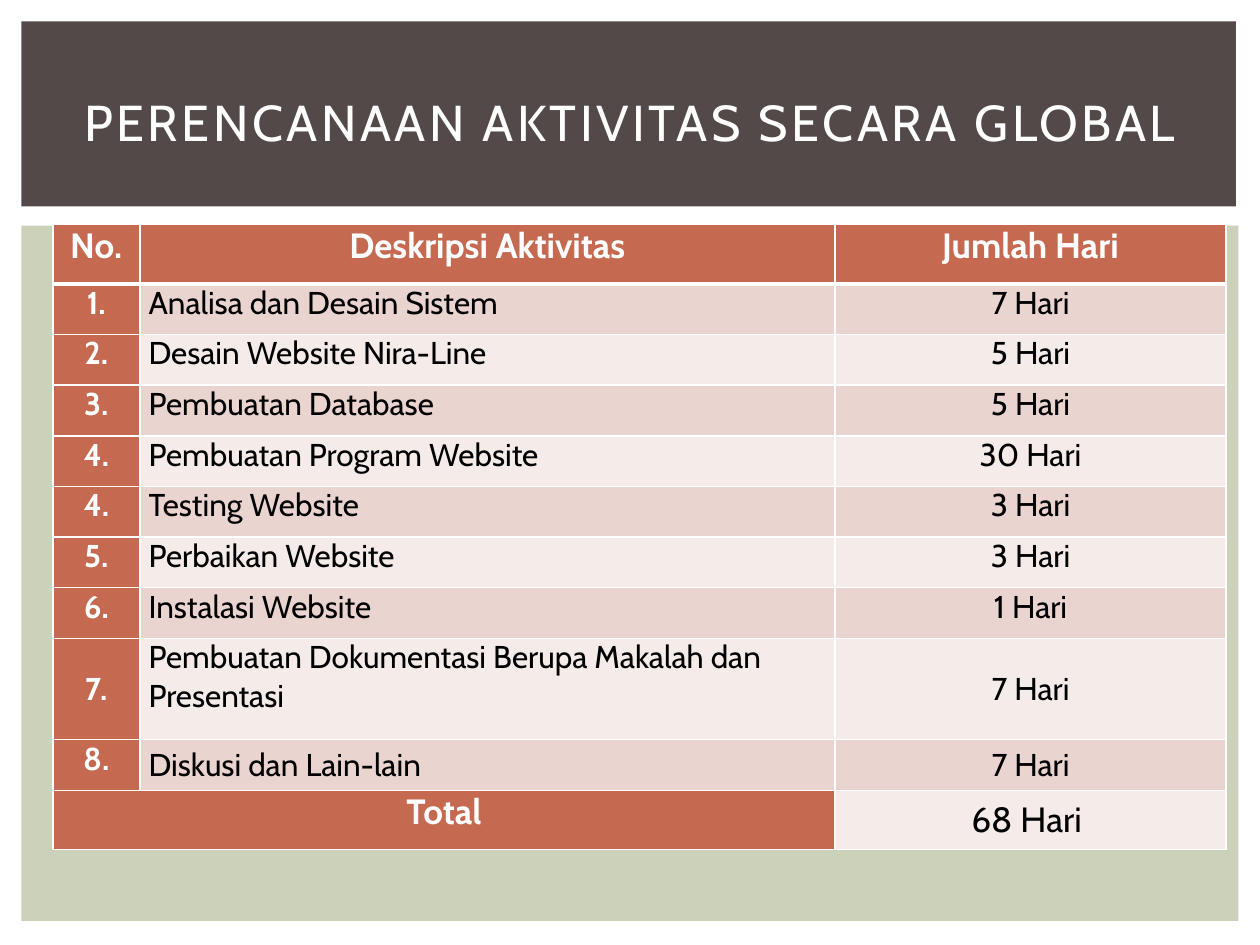
from dataclasses import dataclass

from lxml import etree
from pptx import Presentation
from pptx.dml.color import RGBColor
from pptx.enum.shapes import MSO_SHAPE
from pptx.enum.text import MSO_ANCHOR, PP_ALIGN
from pptx.oxml.ns import qn
from pptx.util import Pt

RECTANGLE = MSO_SHAPE.RECTANGLE
TOP, MIDDLE = MSO_ANCHOR.TOP, MSO_ANCHOR.MIDDLE
LEFT, CENTER = PP_ALIGN.LEFT, PP_ALIGN.CENTER

FONT = "Cabin"
WHITE, BLACK = "FFFFFF", "000000"
SAGE, BROWN, TERRACOTTA = "CCD1B9", "534949", "C66951"
BANDS = ("F5EBE9", "EAD4D0")
COLUMN_WIDTHS = (49.7, 397.4, 223.2)
ROW_HEIGHT, EDGE_ROW_HEIGHT = 28.95, 33.8
HEADINGS = ("No.", "Deskripsi Aktivitas", "Jumlah Hari")


@dataclass(frozen=True)
class Panel:
    left: float
    top: float
    width: float
    height: float
    fill: str


@dataclass(frozen=True)
class Activity:
    number: str
    description: str
    days: int
    lines: int = 1
    anchors: tuple = (TOP, TOP, TOP)


@dataclass(frozen=True)
class CellStyle:
    fill: str
    color: str = BLACK
    size: float = 18
    bold: bool = False
    align: PP_ALIGN = CENTER
    anchor: MSO_ANCHOR = TOP
    top_border: float = 1
    bottom_border: float = 1


PANELS = (
    Panel(12.2, 128.9, 695.5, 397.4, SAGE),
    Panel(12.2, 12.2, 694, 105.8, BROWN),
)
ACTIVITIES = (
    Activity("1.", "Analisa dan Desain Sistem", 7),
    Activity("2.", "Desain Website Nira-Line", 5),
    Activity("3.", "Pembuatan Database", 5),
    Activity("4.", "Pembuatan Program Website", 30),
    Activity("4.", "Testing Website", 3),
    Activity("5.", "Perbaikan Website", 3),
    Activity("6.", "Instalasi Website", 1),
    Activity("7.", "Pembuatan Dokumentasi Berupa Makalah dan Presentasi", 7,
             lines=2, anchors=(MIDDLE, TOP, MIDDLE)),
    Activity("8.", "Diskusi dan Lain-lain", 7, anchors=(TOP, MIDDLE, MIDDLE)),
)


def rgb(color: str) -> RGBColor:
    return RGBColor.from_string(color)


def format_font(font, size: float, color: str, bold: bool = False) -> None:
    font.name = FONT
    font.size = Pt(size)
    font.bold = bold
    font.color.rgb = rgb(color)


def add_panel(slide, panel: Panel) -> None:
    shape = slide.shapes.add_shape(RECTANGLE, Pt(panel.left), Pt(panel.top),
                                   Pt(panel.width), Pt(panel.height))
    shape.shadow.inherit = False
    shape.fill.solid()
    shape.fill.fore_color.rgb = rgb(panel.fill)
    shape.line.fill.background()


def add_title(slide, wording: str) -> None:
    title = slide.shapes.title
    title.left, title.top = Pt(30.2), Pt(28.1)
    title.width, title.height = Pt(660.2), Pt(82.8)
    title.text_frame.text = wording
    title.text_frame.word_wrap = True
    title.text_frame.vertical_anchor = MIDDLE
    paragraph = title.text_frame.paragraphs[0]
    paragraph.alignment = CENTER
    run = paragraph.runs[0]
    format_font(run.font, 28.8, WHITE)
    run.font._element.set("spc", "200")
    slide.shapes.element.append(title.element)  # bring in front of the panels


def set_borders(cell, style: CellStyle) -> None:
    properties = cell._tc.get_or_add_tcPr()
    widths = {"a:lnL": 1, "a:lnR": 1,
              "a:lnT": style.top_border, "a:lnB": style.bottom_border}
    for tag, width in widths.items():
        border = etree.SubElement(properties, qn(tag), w=str(Pt(width)))
        fill = etree.SubElement(border, qn("a:solidFill"))
        etree.SubElement(fill, qn("a:srgbClr"), val=WHITE)


def fill_cell(cell, wording: str, style: CellStyle) -> None:
    set_borders(cell, style)
    cell.fill.solid()
    cell.fill.fore_color.rgb = rgb(style.fill)
    cell.margin_left = cell.margin_right = Pt(5)
    cell.margin_top = cell.margin_bottom = 0
    cell.vertical_anchor = style.anchor
    cell.text_frame.text = wording
    paragraph = cell.text_frame.paragraphs[0]
    paragraph.alignment = style.align
    for run in paragraph.runs:
        format_font(run.font, style.size, style.color, style.bold)


def add_schedule(slide) -> None:
    heights = [EDGE_ROW_HEIGHT,
               *(ROW_HEIGHT * activity.lines for activity in ACTIVITIES),
               EDGE_ROW_HEIGHT]
    schedule = slide.shapes.add_table(
        len(heights), len(COLUMN_WIDTHS), Pt(30.2), Pt(128.4),
        Pt(sum(COLUMN_WIDTHS)), Pt(sum(heights))).table
    for column, width in zip(schedule.columns, COLUMN_WIDTHS):
        column.width = Pt(width)
    for row, height in zip(schedule.rows, heights):
        row.height = Pt(height)

    heading_style = CellStyle(TERRACOTTA, WHITE, 20, True, bottom_border=3)
    for column, heading in enumerate(HEADINGS):
        fill_cell(schedule.cell(0, column), heading, heading_style)

    for row, activity in enumerate(ACTIVITIES, start=1):
        band = BANDS[row % 2]
        border = 3 if row == 1 else 1
        number_anchor, description_anchor, days_anchor = activity.anchors
        fill_cell(schedule.cell(row, 0), activity.number,
                  CellStyle(TERRACOTTA, WHITE, bold=True,
                            anchor=number_anchor, top_border=border))
        fill_cell(schedule.cell(row, 1), activity.description,
                  CellStyle(band, align=LEFT, anchor=description_anchor,
                            top_border=border))
        fill_cell(schedule.cell(row, 2), f"{activity.days} Hari",
                  CellStyle(band, anchor=days_anchor, top_border=border))

    total_row = len(heights) - 1
    total_style = CellStyle(TERRACOTTA, WHITE, 20, True)
    schedule.cell(total_row, 0).merge(schedule.cell(total_row, 1))
    fill_cell(schedule.cell(total_row, 0), "Total", total_style)
    fill_cell(schedule.cell(total_row, 1), "", total_style)
    total_days = sum(activity.days for activity in ACTIVITIES)
    fill_cell(schedule.cell(total_row, 2), f"{total_days} Hari ",
              CellStyle(BANDS[total_row % 2], size=20, anchor=MIDDLE))


def main() -> None:
    presentation = Presentation()
    presentation.slide_width, presentation.slide_height = Pt(720), Pt(540)
    slide = presentation.slides.add_slide(presentation.slide_layouts[5])
    for panel in PANELS:
        add_panel(slide, panel)
    add_schedule(slide)
    add_title(slide, "PERENCANAAN AKTIVITAS SECARA GLOBAL")
    presentation.save("out.pptx")


if __name__ == "__main__":
    main()
